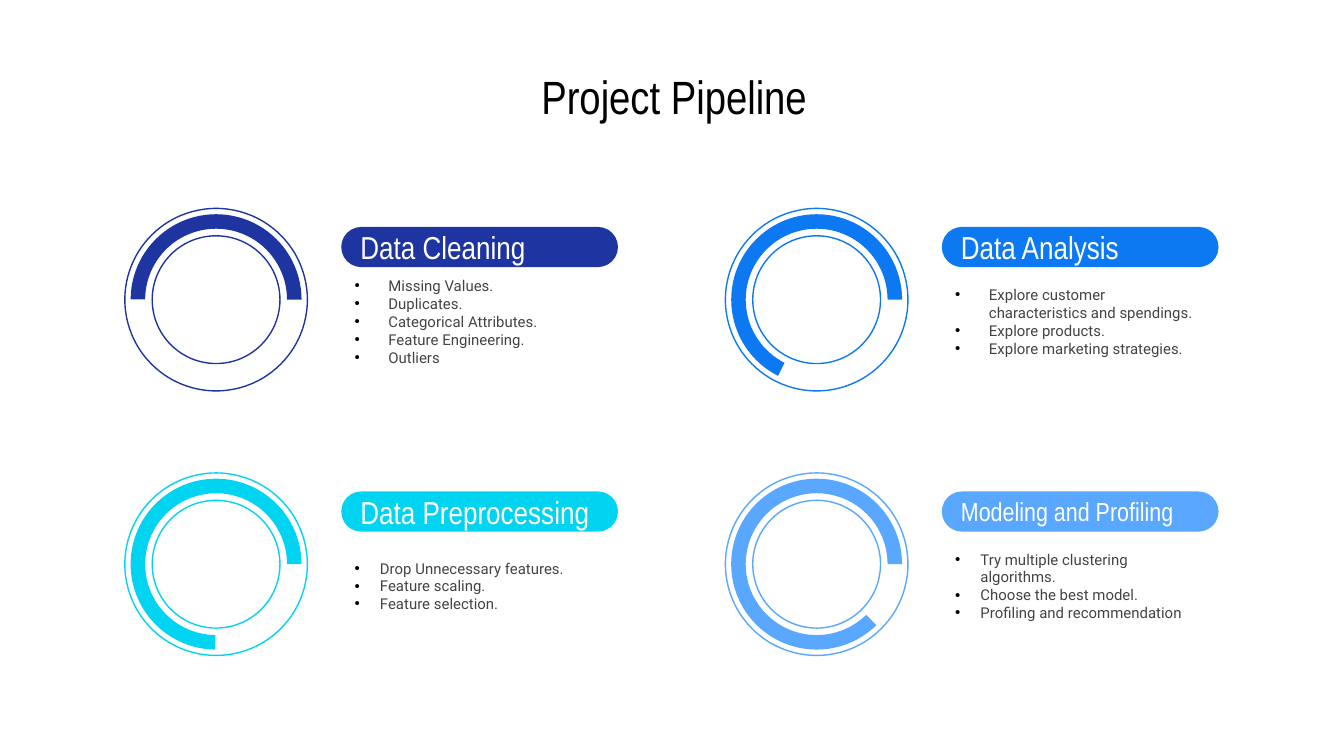
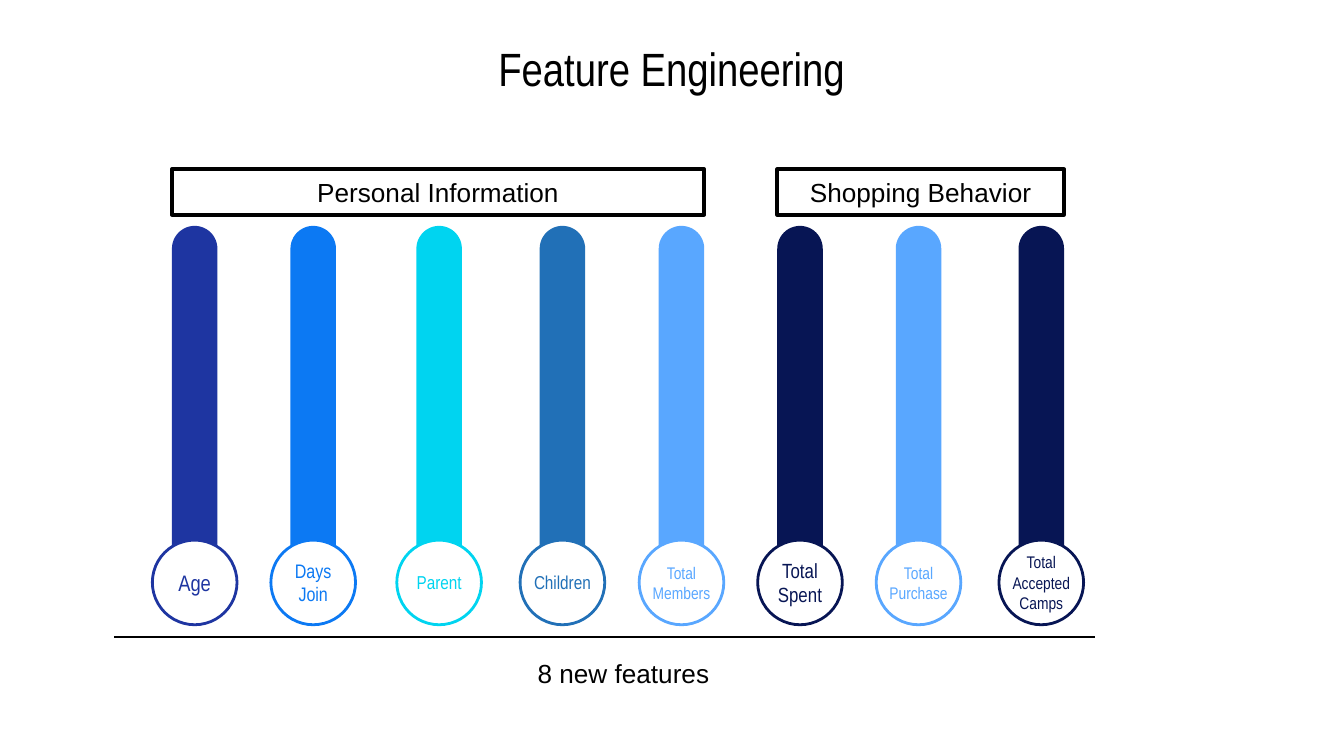
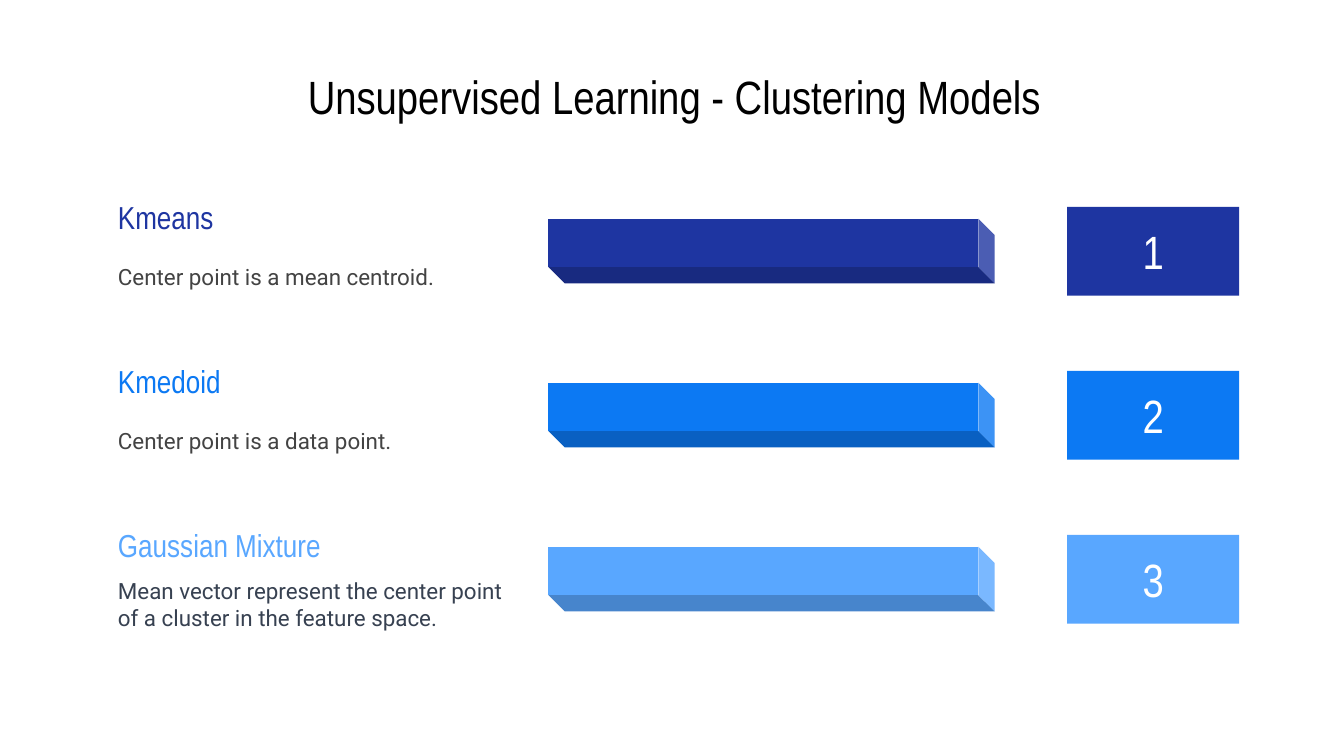
from lxml import etree
from pptx import Presentation
from pptx import util as u
from pptx.dml.color import RGBColor
from pptx.enum import shapes, text
from pptx.oxml import ns

COLOURS = {
    "navy": "1E35A1", "blue": "0C79F3", "cyan": "00D4F0", "sky": "59A7FF",
    "steel": "2170B7", "midnight": "071554", "white": "FFFFFF",
    "black": "000000", "grey": "434343", "slate": "374151",
}
NARROW, BODY, PLAIN = "Arial Narrow", "Roboto", "Arial"
LEFT, CENTER = text.PP_ALIGN.LEFT, text.PP_ALIGN.CENTER
KIND = shapes.MSO_SHAPE


def draw(page, kind, left, top, width, height, fill=None, line=None, weight=0.75):
    box = page.shapes.add_shape(kind, u.Cm(left), u.Cm(top), u.Cm(width), u.Cm(height))
    box.shadow.inherit = False
    if fill:
        box.fill.solid()
        box.fill.fore_color.rgb = RGBColor.from_string(COLOURS[fill])
    else:
        box.fill.background()
    if line:
        box.line.color.rgb = RGBColor.from_string(COLOURS[line])
        box.line.width = u.Pt(weight)
    else:
        box.line.fill.background()
    return box


def write(box, words, size, colour, font=NARROW, align=LEFT, pad_x=0.25, pad_y=0.25):
    frame = box.text_frame
    frame.text = words
    frame.word_wrap = True
    frame.auto_size = text.MSO_AUTO_SIZE.NONE
    frame.vertical_anchor = text.MSO_ANCHOR.MIDDLE
    frame.margin_left = frame.margin_right = u.Cm(pad_x)
    frame.margin_top = frame.margin_bottom = u.Cm(pad_y)
    for para in frame.paragraphs:
        para.alignment = align
        para.space_before = u.Pt(0)
        for span in para.runs:
            span.font.name = font
            span.font.size = u.Pt(size)
            span.font.bold = False
            span.font.color.rgb = RGBColor.from_string(COLOURS[colour])


deck = Presentation()
deck.slide_width, deck.slide_height = u.Cm(25.4), u.Cm(14.29)

# Pages and their titles
pages = []
for heading, layout, left, top in [
    ("Project Pipeline", "Comparison", 1.35, 1.14),
    ("Feature Engineering", "Title Only", 1.3, 0.61),
    ("Unsupervised Learning - Clustering Models", "Title Only", 1.35, 1.14),
]:
    page = deck.slides.add_slide(deck.slide_layouts.get_by_name(layout))
    title = page.shapes.title
    title.left, title.top, title.width, title.height = u.Cm(left), u.Cm(top), u.Cm(22.78), u.Cm(1.35)
    write(title, heading, 25, "black", align=CENTER)
    pages.append(page)
pipeline, features, models = pages

# Pipeline: two by two stages, each with a ring, a pill and a list
stages = [
    ("Data Cleaning", 17, "navy", 180.2,
     ["Missing Values.", "Duplicates.", "Categorical Attributes.", "Feature Engineering.", "Outliers"]),
    ("Data Analysis", 17, "blue", 116.9,
     ["Explore customer characteristics and spendings.", "Explore products.",
      "Explore marketing strategies."]),
    ("Data Preprocessing", 17, "cyan", 90.5,
     ["Drop Unnecessary features.", "Feature scaling.", "Feature selection."]),
    ("Modeling and Profiling", 14, "sky", 45.65,
     ["Try multiple clustering algorithms.", "Choose the best model.", "Profiling and recommendation"]),
]
for number, (name, size, colour, start_angle, items) in enumerate(stages):
    row, column = divmod(number, 2)
    left, top = 2.36 + 11.35 * column, 3.94 + 5 * row

    ring = draw(pipeline, KIND.DONUT, left, top, 3.45, 3.45, line=colour)
    ring.adjustments[0] = 0.15
    arc = draw(pipeline, KIND.BLOCK_ARC, left + 0.11, top + 0.11, 3.23, 3.23, fill=colour)
    # One degree is 0.6 in adjustment units
    arc.adjustments[0] = start_angle * 0.6
    arc.adjustments[1] = 359.99 * 0.6
    arc.adjustments[2] = 0.085

    pill = draw(pipeline, KIND.ROUNDED_RECTANGLE, left + 4.09, top + 0.35, 5.23, 0.76, fill=colour)
    pill.adjustments[0] = 0.5
    write(pill, name, size, "white")

    listing = pipeline.placeholders[number + 1]
    listing.left, listing.top = u.Cm(left + 4.09), u.Cm(top + 1.17)
    listing.width, listing.height = u.Cm(5.23), u.Cm(1.93)
    write(listing, "\n".join(items), 8, "grey", BODY)
    indent = u.Cm(0.48 if row else 0.64)
    for para in listing.text_frame.paragraphs:
        props = para._p.get_or_add_pPr()
        props.set("marL", str(indent))
        props.set("indent", str(-indent))
        bullet_colour = etree.SubElement(props, ns.qn("a:buClr"))
        etree.SubElement(bullet_colour, ns.qn("a:srgbClr"), val=COLOURS["black"])
        etree.SubElement(props, ns.qn("a:buFont"), typeface=PLAIN)
        etree.SubElement(props, ns.qn("a:buChar"), char="•")

# Features: a column and a round label each
for name, size, colour, left in [
    ("Age", 12, "navy", 3.25),
    ("Days Join", 10.5, "blue", 5.49),
    ("Parent", 10, "cyan", 7.87),
    ("Children", 10, "steel", 10.2),
    ("Total Members", 9, "sky", 12.45),
    ("Total Spent", 11, "midnight", 14.69),
    ("Total Purchase", 9, "sky", 16.93),
    ("Total Accepted Camps", 9, "midnight", 19.25),
]:
    column = draw(features, KIND.ROUNDED_RECTANGLE, left, 4.27, 0.86, 7.01, fill=colour)
    column.adjustments[0] = 0.5
    label = draw(features, KIND.OVAL, left - 0.37, 10.21, 1.6, 1.6, "white", colour, 1.5)
    write(label, name, size, colour, align=CENTER, pad_x=0)

# Base line and total
base = features.shapes.add_connector(
    shapes.MSO_CONNECTOR.STRAIGHT, u.Cm(2.16), u.Cm(12.04), u.Cm(20.7), u.Cm(12.04))
base.line.color.rgb = RGBColor.from_string(COLOURS["black"])
base.line.width = u.Pt(0.75)
etree.SubElement(base._element.spPr, ns.qn("a:effectLst"))
total = features.shapes.add_textbox(u.Cm(9.91), u.Cm(12.29), u.Cm(3.78), u.Cm(0.86))
write(total, "8 new features", 14, "black", PLAIN, pad_y=0.13)
total.text_frame.word_wrap = False

# Group headings
for name, left, width in [("Personal Information", 3.25, 10.06), ("Shopping Behavior", 14.69, 5.42)]:
    group = draw(features, KIND.RECTANGLE, left, 3.2, width, 0.86, "white", "black", 2)
    write(group, name, 14, "black", PLAIN, CENTER, pad_y=0.13)

# Models: text, bar and number in each row
for row, (name, summary, colour, summary_colour) in enumerate([
    ("Kmeans", "Center point is a mean centroid.", "navy", "grey"),
    ("Kmedoid", "Center point is a data point.", "blue", "grey"),
    ("Gaussian Mixture", "Mean vector represent the center point of a cluster in the feature space.",
     "sky", "slate"),
]):
    shift = 3.1 * row
    for words, top, height, size, ink, font in [
        (name, 3.58, 1.02, 17, colour, NARROW),
        (summary, 4.5, 1.45, 12, summary_colour, BODY),
    ]:
        box = models.shapes.add_textbox(u.Cm(1.98), u.Cm(top + shift), u.Cm(7.82), u.Cm(height))
        write(box, words, size, ink, font)
    bar = draw(models, KIND.CUBE, 13.97, 0.53 + shift, 1.22, 8.43, fill=colour)
    bar.adjustments[0] = 0.25
    bar.rotation = 90
    badge = draw(models, KIND.ROUNDED_RECTANGLE, 20.17, 3.91 + shift, 3.25, 1.68, fill=colour)
    badge.adjustments[0] = 0
    write(badge, str(row + 1), 25, "white", align=CENTER)

deck.save("out.pptx")
